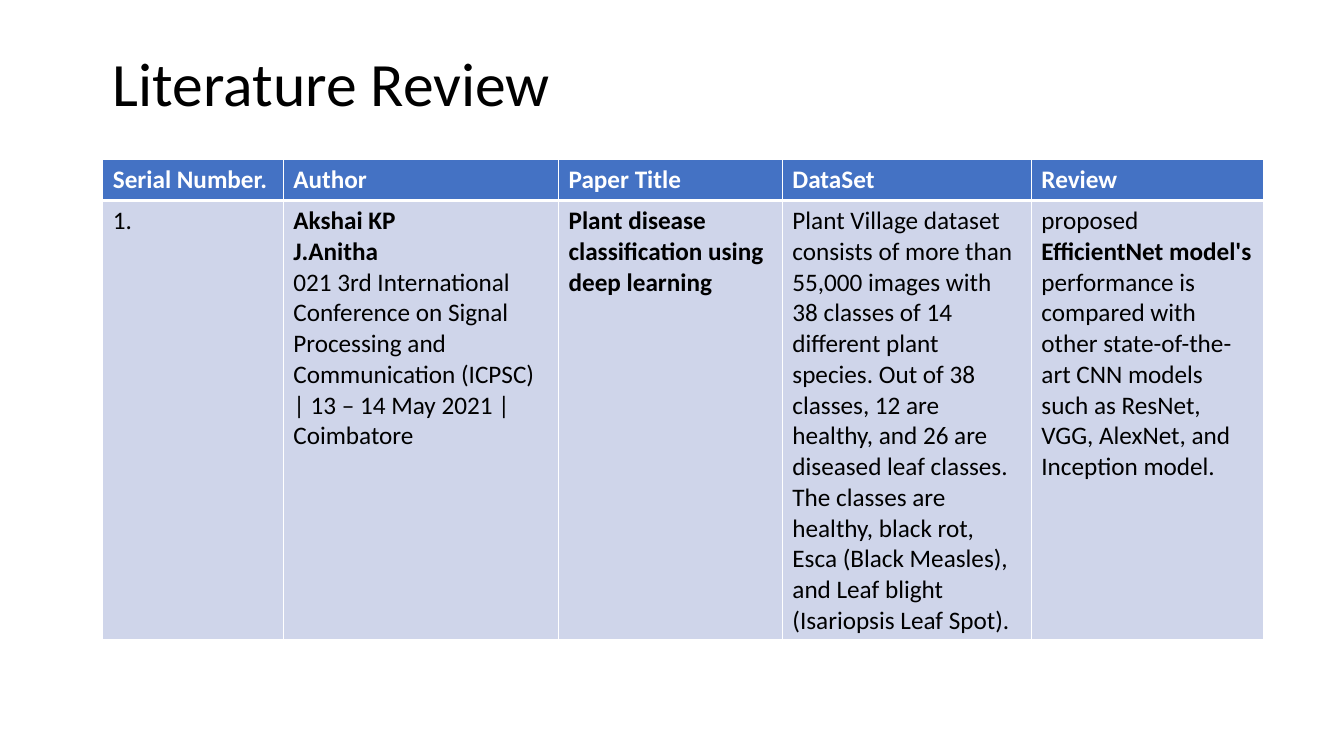
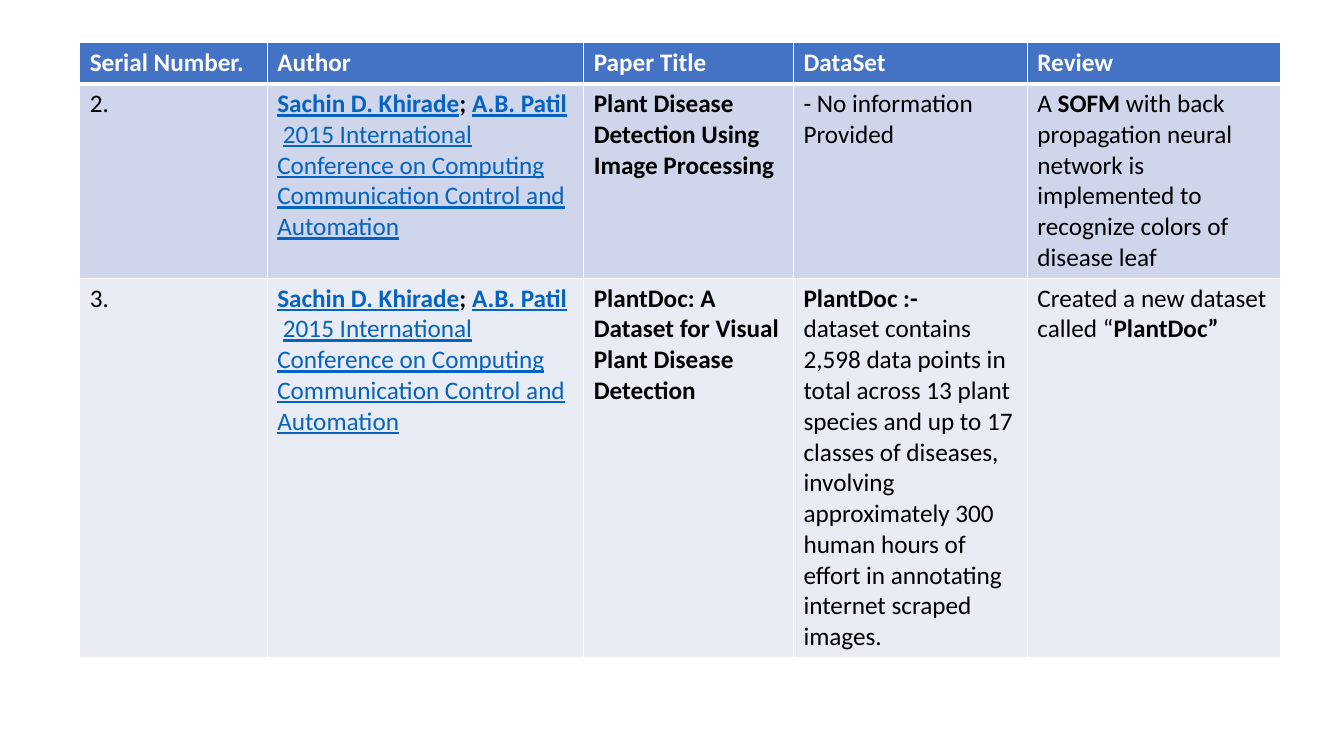
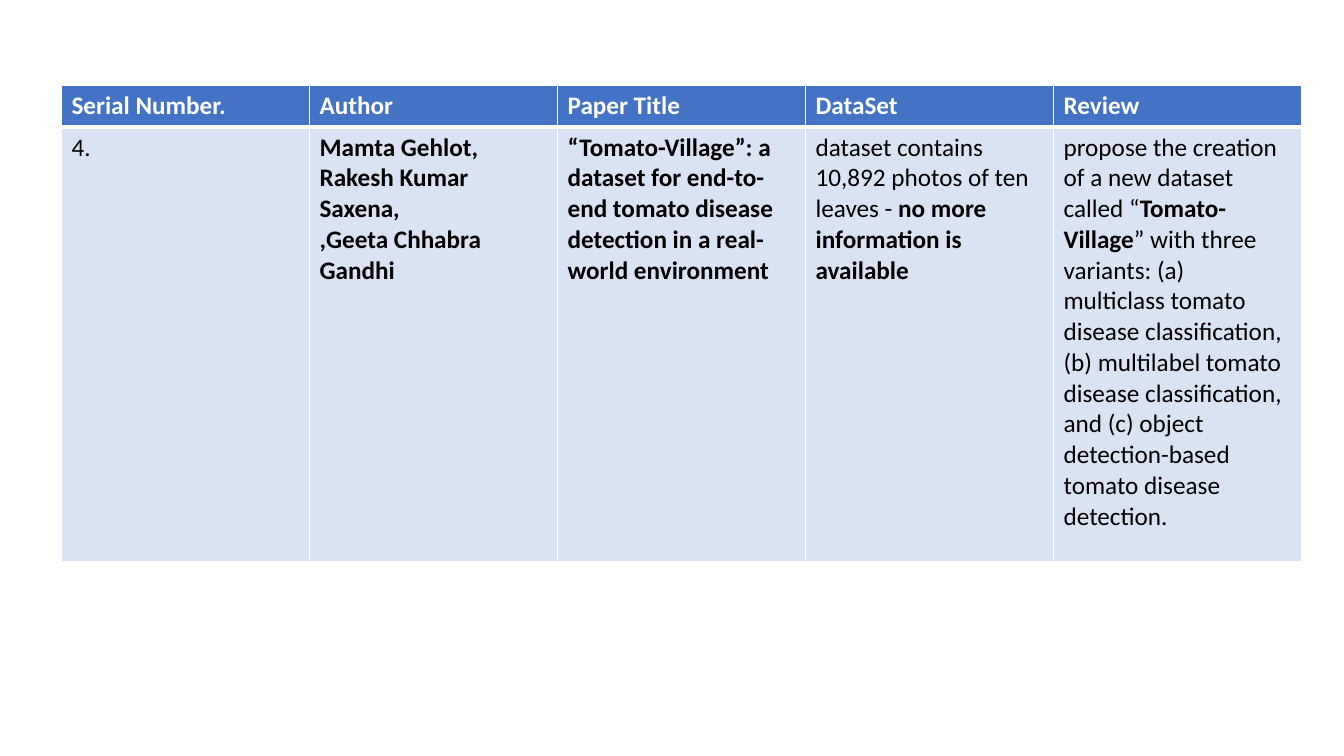
import pptx
import pptx.dml.color
import pptx.enum.text
import pptx.oxml.ns
import pptx.util
from lxml import etree

PX = 9144  # 100 px to the inch
FONT = "Calibri"
BLACK, WHITE, LINK_BLUE = "000000", "FFFFFF", "0563C1"
HEADER_FILL, BAND_DARK, BAND_LIGHT, BAND_PALE = "4472C4", "CFD5EA", "E9EBF5", "DAE3F3"
HEADINGS = ["Serial Number.", "Author", "Paper Title", "DataSet", "Review"]
HEADER_HEIGHT = 41
THIN, THICK = 1, 3


def px(length):
    return pptx.util.Emu(length * PX)


def rgb(color):
    return pptx.dml.color.RGBColor.from_string(color)


def plain(text):
    return {"text": text}


def bold(text):
    return {"text": text, "bold": True}


def link(text, is_bold=False):
    return {"text": text, "bold": is_bold, "color": LINK_BLUE, "underline": True}


def format_run(run, size=18, color=BLACK, bold=False, underline=False):
    run.font.name = FONT
    run.font.size = pptx.util.Pt(size)
    run.font.color.rgb = rgb(color)
    run.font.bold = bold
    run.font.underline = underline


def write_paragraphs(text_frame, paragraphs):
    """Fill a frame with paragraphs, each a list of styled runs."""
    for index, runs in enumerate(paragraphs):
        paragraph = text_frame.add_paragraph() if index else text_frame.paragraphs[0]
        for styled_run in runs:
            style = dict(styled_run)
            run = paragraph.add_run()
            run.text = style.pop("text")
            format_run(run, **style)


def set_borders(cell, top, bottom):
    """Draw white cell borders; must run before the cell gets its fill."""
    properties = cell._tc.get_or_add_tcPr()
    for tag, width in (("lnL", THIN), ("lnR", THIN), ("lnT", top), ("lnB", bottom)):
        line = etree.SubElement(properties, pptx.oxml.ns.qn("a:" + tag),
                                w=str(pptx.util.Pt(width)))
        fill = etree.SubElement(line, pptx.oxml.ns.qn("a:solidFill"))
        etree.SubElement(fill, pptx.oxml.ns.qn("a:srgbClr"), val=WHITE)


def add_title(slide, text):
    box = slide.shapes.add_textbox(px(102), px(13), px(1130), px(145))
    frame = box.text_frame
    frame.word_wrap = True
    frame.vertical_anchor = pptx.enum.text.MSO_ANCHOR.MIDDLE
    frame.text = text
    paragraph = frame.paragraphs[0]
    paragraph.line_spacing = 0.9
    format_run(paragraph.runs[0], size=44)


def add_review_table(slide, left, top, widths, papers):
    """Add the header and one row per paper, given as (height, fill, cells)."""
    header_cells = [[[{"text": heading, "bold": True, "color": WHITE}]]
                    for heading in HEADINGS]
    rows = [(HEADER_HEIGHT, HEADER_FILL, header_cells)] + papers
    height = sum(row[0] for row in rows)
    table = slide.shapes.add_table(len(rows), len(widths), px(left), px(top),
                                   px(sum(widths)), px(height)).table
    table.horz_banding = False
    for column, width in zip(table.columns, widths):
        column.width = px(width)
    for row_index, (row_height, fill, cells) in enumerate(rows):
        table.rows[row_index].height = px(row_height)
        for column_index, paragraphs in enumerate(cells):
            cell = table.cell(row_index, column_index)
            set_borders(cell, top=THICK if row_index == 1 else THIN,
                        bottom=THICK if row_index == 0 else THIN)
            cell.fill.solid()
            cell.fill.fore_color.rgb = rgb(fill)
            write_paragraphs(cell.text_frame, paragraphs)


def build_first_review(slide):
    add_title(slide, "Literature Review")
    paper = [
        [[plain("1.")]],
        [[bold("Akshai KP")], [bold("J.Anitha")],
         [plain("021 3rd International Conference on Signal Processing and "
                "Communication (ICPSC) | 13 – 14 May 2021 | Coimbatore")]],
        [[bold("Plant disease classification using deep learning")]],
        [[plain("Plant Village dataset consists of more than 55,000 images with "
                "38 classes of 14 different plant species. Out of 38 classes, 12 are "
                "healthy, and 26 are diseased leaf classes. The classes are healthy, "
                "black rot, Esca (Black Measles), and Leaf blight "
                "(Isariopsis Leaf Spot).")]],
        [[plain("proposed "), bold("EfficientNet model's "),
          plain("performance is compared with other state-of-the-art CNN models "
                "such as ResNet, VGG, AlexNet, and Inception model.")]],
    ]
    add_review_table(slide, 102, 158, [179, 273, 222, 247, 230],
                     [(436, BAND_DARK, paper)])


def build_second_review(slide):
    authors = [
        [link("Sachin D. Khirade", True), bold("; "), link("A.B. Patil", True)],
        [bold(" "), link("2015 International Conference on Computing "
                         "Communication Control and Automation")],
    ]
    image_processing = [
        [[plain("2.")]],
        authors,
        [[bold("Plant Disease Detection Using Image Processing")]],
        [[plain("- No information Provided")]],
        [[plain("A "), bold("SOFM"),
          plain(" with back propagation neural network is implemented to "
                "recognize colors of disease leaf")]],
    ]
    plant_doc = [
        [[plain("3.")]],
        authors,
        [[bold("PlantDoc: A Dataset for Visual Plant Disease Detection")]],
        [[bold("PlantDoc :-")],
         [plain("dataset contains 2,598 data points in total across 13 plant species "
                "and up to 17 classes of diseases, involving approximately 300 human "
                "hours of effort in annotating internet scraped images. ")]],
        [[plain("Created a new dataset called “"), bold("PlantDoc”")]],
    ]
    add_review_table(slide, 79, 42, [186, 314, 208, 232, 251],
                     [(193, BAND_DARK, image_processing), (376, BAND_LIGHT, plant_doc)])


def build_third_review(slide):
    paper = [
        [[plain("4.")]],
        [[bold("Mamta Gehlot,")], [bold("Rakesh Kumar Saxena,")],
         [bold(",Geeta Chhabra Gandhi")]],
        [[bold("“Tomato-Village”: a dataset for end-to-end tomato disease detection "
               "in a real-world environment")]],
        [[plain("dataset contains")],
         [plain("10,892 photos of ten leaves -"),
          bold(" no more information is available")]],
        [[plain("propose the creation of a new dataset called “"),
          bold("Tomato-Village"),
          plain("” with three variants: (a) multiclass tomato disease classification, "
                "(b) multilabel tomato disease classification, and (c) object "
                "detection-based tomato disease detection. ")]],
    ]
    add_review_table(slide, 61, 85, [246] * len(HEADINGS), [(431, BAND_PALE, paper)])


def main():
    presentation = pptx.Presentation()
    presentation.slide_width = px(1333)
    presentation.slide_height = px(750)
    for build in (build_first_review, build_second_review, build_third_review):
        build(presentation.slides.add_slide(presentation.slide_layouts[6]))
    presentation.save("out.pptx")


if __name__ == "__main__":
    main()
